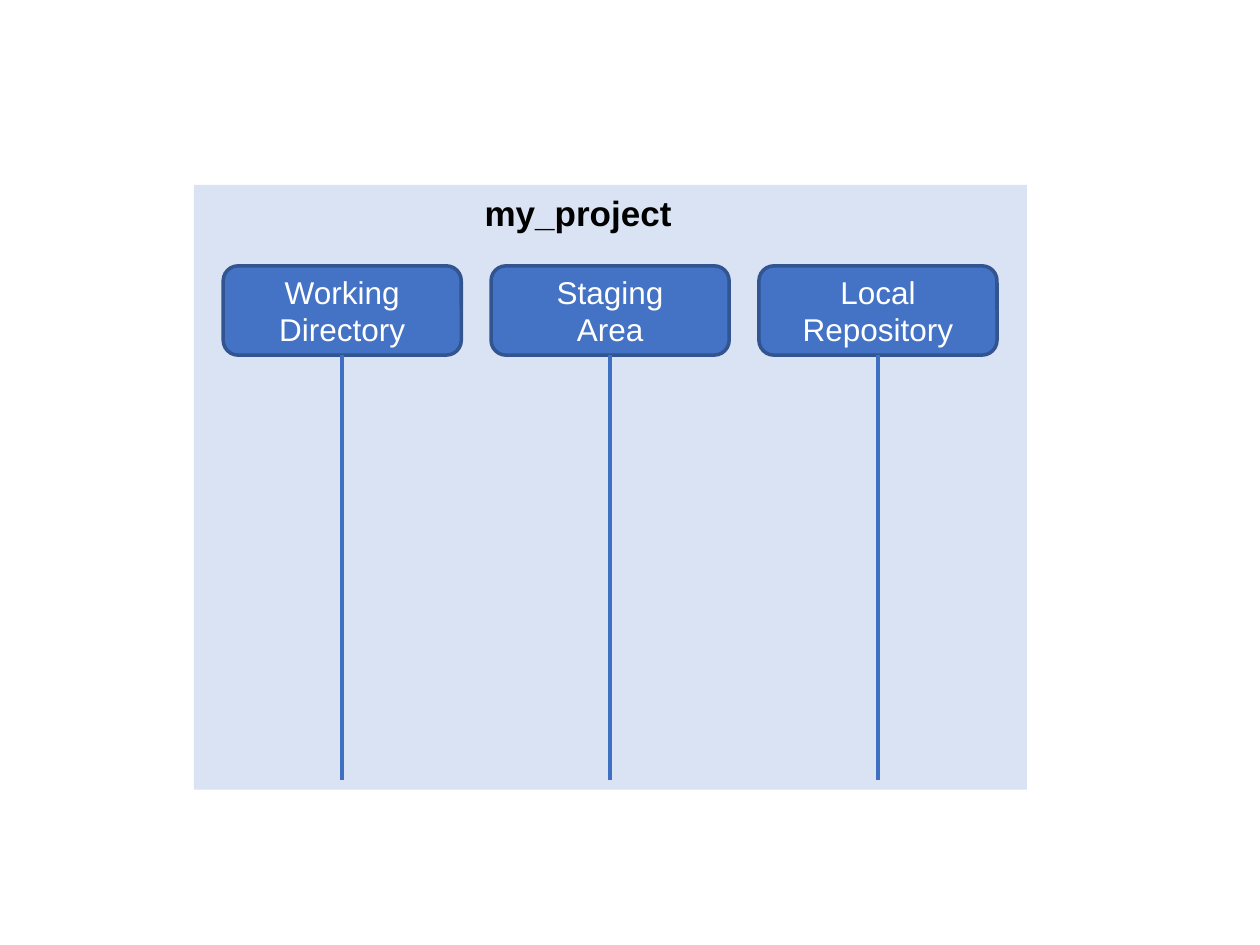
"""Build a slide showing the three areas of a project as lifelines."""
from pptx import Presentation
from pptx.dml.color import RGBColor
from pptx.enum.shapes import MSO_CONNECTOR, MSO_SHAPE
from pptx.enum.text import MSO_ANCHOR, PP_ALIGN
from pptx.oxml.ns import qn
from pptx.util import Cm, Pt
from lxml.etree import SubElement

TITLE = "my_project"
AREAS = [("Working", "Directory"), ("Staging", "Area"), ("Local", "Repository")]

PANEL = RGBColor(0xDA, 0xE3, 0xF3)
BOX = RGBColor(0x44, 0x72, 0xC4)
BORDER = RGBColor(0x32, 0x54, 0x91)
LIFELINE = RGBColor(0x3F, 0x6F, 0xC3)
WHITE = RGBColor(0xFF, 0xFF, 0xFF)
BLACK = RGBColor(0, 0, 0)

LEFT, TOP, WIDTH, HEIGHT = 4.5, 5.36, 4.8, 1.8
PITCH = 5.4
LINE_END = 15.72


def add_box(s, kind, x, y, w, h, fill):
    sp = s.shapes.add_shape(kind, Cm(x), Cm(y), Cm(w), Cm(h))
    sp.shadow.inherit = False
    sp.fill.solid()
    sp.fill.fore_color.rgb = fill
    sp.line.fill.background()
    return sp


def set_font(p, size, color, bold=False):
    p.font.name = "Arial"
    p.font.size = Pt(size)
    p.font.bold = bold
    p.font.color.rgb = color


def add_area(s, x, lines):
    sp = add_box(s, MSO_SHAPE.ROUNDED_RECTANGLE, x, TOP, WIDTH, HEIGHT, BOX)
    sp.line.color.rgb = BORDER
    sp.line.width = Pt(2)
    tf = sp.text_frame
    tf.vertical_anchor = MSO_ANCHOR.MIDDLE
    tf.text = "\n".join(lines)
    for p in tf.paragraphs:
        p.alignment = PP_ALIGN.CENTER
        set_font(p, 18, WHITE)


def add_lifeline(s, x):
    line = s.shapes.add_connector(
        MSO_CONNECTOR.STRAIGHT, Cm(x), Cm(TOP + HEIGHT), Cm(x), Cm(LINE_END))
    line.line.color.rgb = LIFELINE
    line.line.width = Pt(2.25)
    SubElement(line._element.spPr, qn("a:effectLst"))


def main():
    prs = Presentation()
    prs.slide_width, prs.slide_height = Cm(25.4), Cm(19.05)
    s = prs.slides.add_slide(prs.slide_layouts[6])
    add_box(s, MSO_SHAPE.RECTANGLE, 3.91, 3.73, 16.79, 12.19, PANEL)
    for i, lines in enumerate(AREAS):
        x = LEFT + i * PITCH
        add_area(s, x, lines)
        add_lifeline(s, x + WIDTH / 2)
    tf = s.shapes.add_textbox(Cm(9.52), Cm(3.73), Cm(4.28), Cm(1.11)).text_frame
    tf.word_wrap = False
    tf.text = TITLE
    set_font(tf.paragraphs[0], 20, BLACK, bold=True)
    prs.save("out.pptx")


if __name__ == "__main__":
    main()
